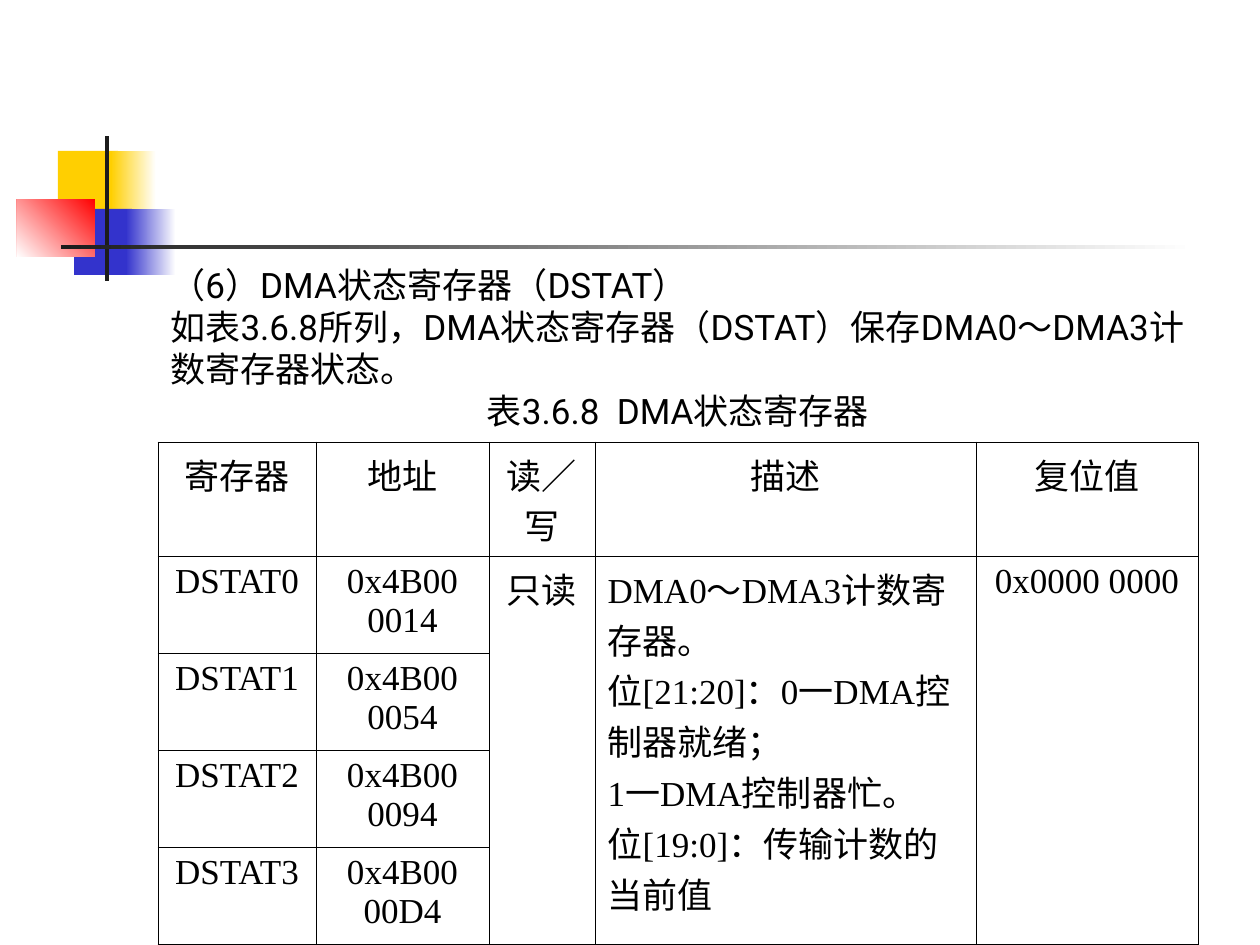
from dataclasses import dataclass

from pptx import Presentation
from pptx import util as u
from pptx.dml import color
from pptx.enum import shapes, text
from pptx.oxml import ns, xmlchemy

SCALE = 914400 / 126


@dataclass(frozen=True)
class Theme:
    yellow: str = "FFCF01"
    blue: str = "3333CC"
    red: str = "FF0000"
    dark: str = "1C1C1C"
    white: str = "FFFFFF"
    black: str = "000000"
    size: float = 20
    border: float = 0.45
    body_font: str = "Roboto"
    table_font: str = "Times New Roman"


THEME = Theme()
CENTER = text.PP_ALIGN.CENTER
LEFT = text.PP_ALIGN.LEFT

SOLID_BLOCKS = [
    ((58, 151, 60, 66), THEME.yellow),
    ((74, 209, 58, 66), THEME.blue),
    ((105, 136, 4, 145), THEME.dark),
]
FADED_BLOCKS = [
    ((111, 151, 45, 66), THEME.white, THEME.yellow, 180),
    ((126, 209, 50, 66), THEME.white, THEME.blue, 180),
    ((17, 199, 78, 58), THEME.red, THEME.white, 225),
    ((61, 245, 1134, 4), THEME.white, THEME.dark, 180),
]
DRAW_ORDER = [
    SOLID_BLOCKS[0], FADED_BLOCKS[0], SOLID_BLOCKS[1], FADED_BLOCKS[1],
    FADED_BLOCKS[2], SOLID_BLOCKS[2], FADED_BLOCKS[3],
]

INTRO = [
    ("（6）DMA状态寄存器（DSTAT）", LEFT),
    ("如表3.6.8所列，DMA状态寄存器（DSTAT）保存DMA0～DMA3计数寄存器状态。", LEFT),
    ("表3.6.8  DMA状态寄存器", CENTER),
]
HEADERS = ["寄存器", "地址", "读／写", "描述", "复位值"]
ADDRESSES = ["0014", "0054", "0094", "00D4"]
DESCRIPTION = [
    "DMA0～DMA3计数寄存器。",
    "位[21:20]：0一DMA控制器就绪；",
    "1一DMA控制器忙。",
    "位[19:0]：传输计数的当前值",
]
SHARED = [(2, ["只读"], CENTER), (3, DESCRIPTION, LEFT), (4, ["0x0000 0000"], CENTER)]
COLUMNS = [158, 173, 106, 381, 222]
ROW = 97


def px(n):
    return u.Emu(round(n * SCALE))


def rgb(value):
    return color.RGBColor.from_string(value)


def add_block(slide, box, *paint):
    sp = slide.shapes.add_shape(shapes.MSO_SHAPE.RECTANGLE, *map(px, box))
    sp.shadow.inherit = False
    sp.line.fill.background()
    if len(paint) == 1:
        sp.fill.solid()
        sp.fill.fore_color.rgb = rgb(paint[0])
        return
    start, end, angle = paint
    sp.fill.gradient()
    sp.fill.gradient_angle = angle
    for stop, value, position in zip(sp.fill.gradient_stops, (start, end), (0, 1)):
        stop.color.rgb = rgb(value)
        stop.position = position


def write(tf, lines, font):
    for i, (line, align) in enumerate(lines):
        p = tf.paragraphs[0] if i == 0 else tf.add_paragraph()
        p.alignment = align
        r = p.add_run()
        r.text = line
        r.font.size = u.Pt(THEME.size)
        r.font.name = font
        r.font.color.rgb = rgb(THEME.black)
        if font == THEME.body_font:
            ea = xmlchemy.OxmlElement("a:ea")
            ea.set("typeface", font)
            r.font._element.find(ns.qn("a:latin")).addnext(ea)


def add_intro(slide):
    sp = slide.shapes.add_textbox(*map(px, (158, 257, 1040, 181)))
    tf = sp.text_frame
    tf.word_wrap = True
    tf.vertical_anchor = text.MSO_ANCHOR.MIDDLE
    write(tf, INTRO, THEME.body_font)


def style_cell(cell):
    tc_pr = cell._tc.get_or_add_tcPr()
    for side in "LRTB":
        ln = xmlchemy.OxmlElement(f"a:ln{side}")
        ln.set("w", str(u.Pt(THEME.border)))
        fill = xmlchemy.OxmlElement("a:solidFill")
        clr = xmlchemy.OxmlElement("a:srgbClr")
        clr.set("val", THEME.black)
        fill.append(clr)
        ln.append(fill)
        tc_pr.append(ln)
    cell.fill.background()


def fill_cell(cell, lines, align=CENTER):
    write(cell.text_frame, [(line, align) for line in lines], THEME.table_font)


def add_register_table(slide):
    count = len(ADDRESSES) + 1
    box = (158, 442, sum(COLUMNS), ROW * count)
    table = slide.shapes.add_table(count, len(COLUMNS), *map(px, box)).table
    table.first_row = False
    table.horz_banding = False
    for column, width in zip(table.columns, COLUMNS):
        column.width = px(width)
    for row in table.rows:
        row.height = px(ROW)
    for cell in table.iter_cells():
        style_cell(cell)
    for i, header in enumerate(HEADERS):
        fill_cell(table.cell(0, i), [header])
    for i, address in enumerate(ADDRESSES):
        fill_cell(table.cell(i + 1, 0), [f"DSTAT{i}"])
        fill_cell(table.cell(i + 1, 1), [f"0x4B00 {address}"])
    for column, lines, align in SHARED:
        table.cell(1, column).merge(table.cell(count - 1, column))
        fill_cell(table.cell(1, column), lines, align)


def main():
    prs = Presentation()
    prs.slide_width, prs.slide_height = px(1260), px(945)
    slide = prs.slides.add_slide(prs.slide_layouts[6])
    for block in DRAW_ORDER:
        add_block(slide, *block)
    add_register_table(slide)
    add_intro(slide)
    prs.save("out.pptx")


if __name__ == "__main__":
    main()
